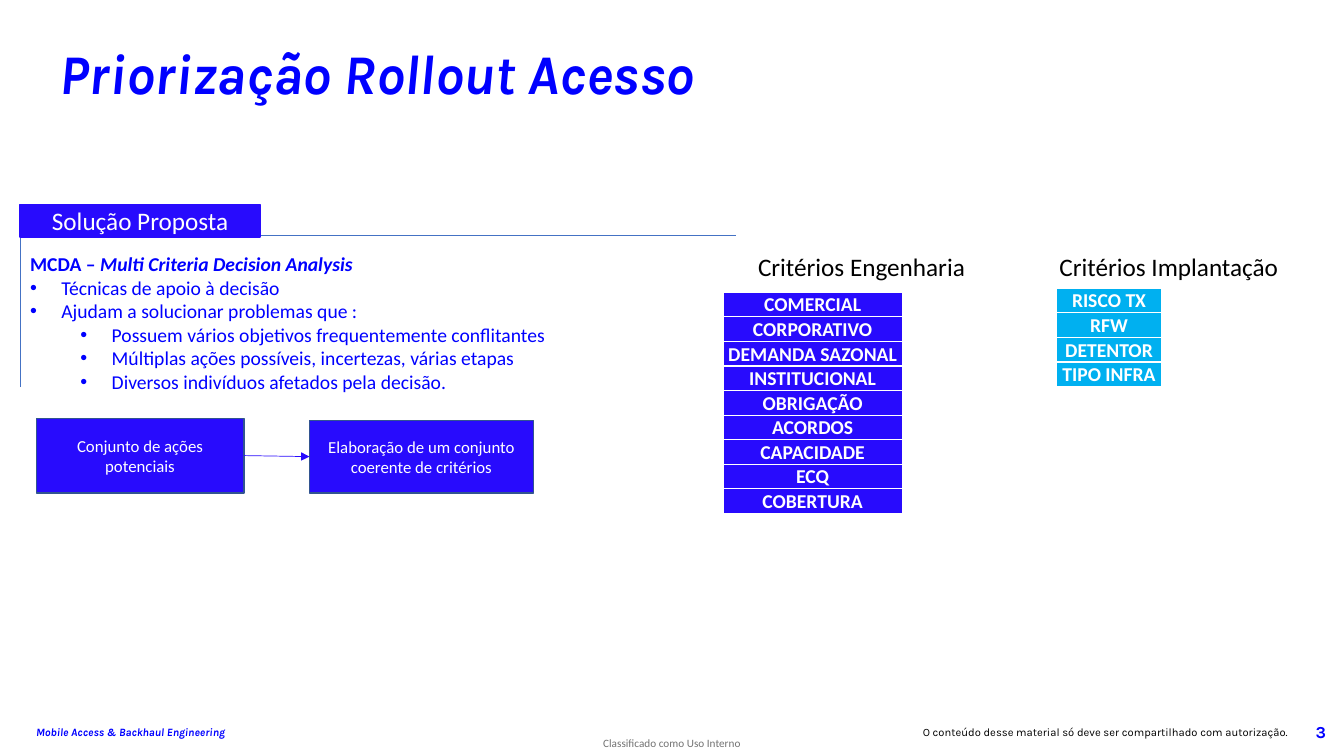
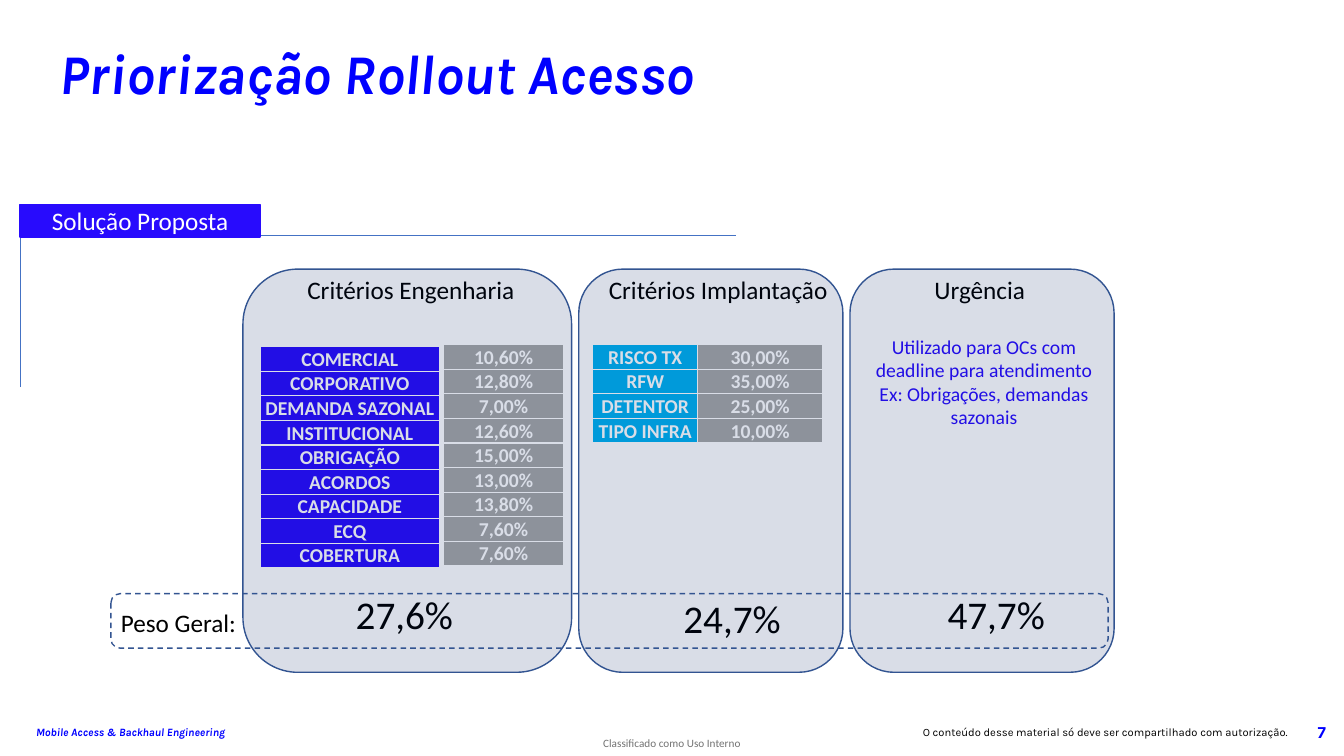
"""Build two slides on rollout prioritisation criteria."""
import dataclasses
import typing

import lxml.etree
import pptx
import pptx.dml.color
import pptx.enum.dml
import pptx.enum.shapes
import pptx.enum.text
import pptx.oxml.ns
import pptx.util

Inches = pptx.util.Inches
Pt = pptx.util.Pt
qn = pptx.oxml.ns.qn
SHAPE = pptx.enum.shapes.MSO_SHAPE
ALIGN = pptx.enum.text.PP_ALIGN
ANCHOR = pptx.enum.text.MSO_ANCHOR

COLORS = {
    "blue": "0000FF",
    "indigo": "280BFD",
    "cyan": "00B0F0",
    "gray": "A6A6A6",
    "note": "737373",
    "rule": "4472C4",
    "outline": "325491",
    "card": "002060",
    "white": "FFFFFF",
    "black": "000000",
}
ROW_HEIGHT = 0.24
BULLET_HANG = 0.31
ENGINEERING = ["COMERCIAL", "CORPORATIVO", "DEMANDA SAZONAL", "INSTITUCIONAL", "OBRIGAÇÃO",
               "ACORDOS", "CAPACIDADE", "ECQ", "COBERTURA"]
ENGINEERING_WEIGHTS = ["10,60%", "12,80%", "7,00%", "12,60%", "15,00%",
                       "13,00%", "13,80%", "7,60%", "7,60%"]
ROLLOUT = ["RISCO TX", "RFW", "DETENTOR", "TIPO INFRA"]
ROLLOUT_WEIGHTS = ["30,00%", "35,00%", "25,00%", "10,00%"]


@dataclasses.dataclass(frozen=True)
class Box:
    left: float
    top: float
    width: float
    height: float

    def lengths(self) -> list:
        return [Inches(v) for v in dataclasses.astuple(self)]


@dataclasses.dataclass(frozen=True)
class Label:
    text: str
    box: Box
    size: float = 18


@dataclasses.dataclass(frozen=True)
class Column:
    values: list
    left: float
    top: float
    width: float
    fill: str


@dataclasses.dataclass(frozen=True)
class Bullet:
    text: str
    level: int


def rgb(name: str) -> pptx.dml.color.RGBColor:
    return pptx.dml.color.RGBColor.from_string(COLORS[name])


def write(p, text: str, *, size: float = 14, color: str = "black", font: str = "Calibri",
          bold: bool = False, italic: bool = False, align=ALIGN.LEFT) -> None:
    p.alignment = align
    r = p.add_run()
    r.text = text
    r.font.name = font
    r.font.size = Pt(size)
    r.font.bold = bold
    r.font.italic = italic
    r.font.color.rgb = rgb(color)


def add_text(s, box: Box, *lines: str, anchor=ANCHOR.TOP, wrap: bool = True,
             inset: typing.Optional[float] = None, **fmt):
    tf = s.shapes.add_textbox(*box.lengths()).text_frame
    tf.word_wrap = wrap
    tf.vertical_anchor = anchor
    if inset is not None:
        tf.margin_left = tf.margin_right = tf.margin_top = tf.margin_bottom = Inches(inset)
    for i, line in enumerate(lines):
        write(tf.add_paragraph() if i else tf.paragraphs[0], line, **fmt)
    return tf


def add_label(s, label: Label) -> None:
    add_text(s, label.box, label.text, size=label.size)


def add_box(s, box: Box, *, kind=SHAPE.RECTANGLE, fill: typing.Optional[str] = "indigo",
            alpha: int = 100, line: str = "outline", dashed: bool = False,
            text: str = "", size: float = 12):
    sp = s.shapes.add_shape(kind, *box.lengths())
    sp.shadow.inherit = False
    if fill:
        sp.fill.solid()
        sp.fill.fore_color.rgb = rgb(fill)
        if alpha < 100:
            clr = sp.fill._xPr.find(qn("a:solidFill"))[0]
            lxml.etree.SubElement(clr, qn("a:alpha"), val=str(alpha * 1000))
    else:
        sp.fill.background()
    sp.line.color.rgb = rgb(line)
    sp.line.width = Pt(1)
    if dashed:
        sp.line.dash_style = pptx.enum.dml.MSO_LINE.DASH
    if text:
        tf = sp.text_frame
        tf.word_wrap = True
        tf.vertical_anchor = ANCHOR.MIDDLE
        write(tf.paragraphs[0], text, size=size, color="white", align=ALIGN.CENTER)
    return sp


def add_line(s, x1: float, y1: float, x2: float, y2: float, color: str = "rule"):
    ends = [Inches(v) for v in (x1, y1, x2, y2)]
    cxn = s.shapes.add_connector(pptx.enum.shapes.MSO_CONNECTOR.STRAIGHT, *ends)
    cxn.line.color.rgb = rgb(color)
    cxn.line.width = Pt(0.5)
    lxml.etree.SubElement(cxn._element.spPr, qn("a:effectLst"))
    return cxn


def add_arrow(s, source, target) -> None:
    cxn = add_line(s, 2.42, 4.52, 3.07, 4.53, "indigo")
    cxn.begin_connect(source, 3)
    cxn.end_connect(target, 1)
    lxml.etree.SubElement(cxn.line._get_or_add_ln(), qn("a:tailEnd"), type="triangle")


def add_borders(cell) -> None:
    tcPr = cell._tc.get_or_add_tcPr()
    for i, side in enumerate(("lnL", "lnR", "lnT", "lnB")):
        ln = lxml.etree.Element(qn(f"a:{side}"), w=str(Pt(1)))
        fill = lxml.etree.SubElement(ln, qn("a:solidFill"))
        lxml.etree.SubElement(fill, qn("a:srgbClr"), val=COLORS["white"])
        tcPr.insert(i, ln)


def add_column(s, col: Column) -> None:
    n = len(col.values)
    box = Box(col.left, col.top, col.width, n * ROW_HEIGHT)
    table = s.shapes.add_table(n, 1, *box.lengths()).table
    table.first_row = table.horz_banding = False
    for row, value in enumerate(col.values):
        table.rows[row].height = Inches(ROW_HEIGHT)
        cell = table.cell(row, 0)
        cell.fill.solid()
        cell.fill.fore_color.rgb = rgb(col.fill)
        cell.margin_left = cell.margin_right = cell.margin_top = Inches(0.01)
        cell.margin_bottom = Inches(0)
        cell.vertical_anchor = ANCHOR.MIDDLE
        write(cell.text_frame.paragraphs[0], value, color="white", bold=True,
              align=ALIGN.CENTER)
        add_borders(cell)


def add_bullet(tf, bullet: Bullet) -> None:
    p = tf.add_paragraph()
    p.level = bullet.level
    write(p, bullet.text, color="blue")
    pPr = p._p.get_or_add_pPr()
    pPr.set("marL", str(Inches(BULLET_HANG + 0.5 * bullet.level)))
    pPr.set("indent", str(Inches(-BULLET_HANG)))
    lxml.etree.SubElement(pPr, qn("a:buFont"), typeface="Arial")
    lxml.etree.SubElement(pPr, qn("a:buChar"), char="•")


def add_title(s, text: str) -> None:
    sp = s.shapes.title
    sp.left, sp.top, sp.width, sp.height = Box(0.49, 0.41, 10.56, 0.72).lengths()
    tf = sp.text_frame
    tf.word_wrap = True
    tf.auto_size = pptx.enum.text.MSO_AUTO_SIZE.NONE
    tf.vertical_anchor = ANCHOR.TOP
    p = tf.paragraphs[0]
    p.line_spacing = 0.9
    p.space_before = Pt(10)
    write(p, text, size=40, color="blue", font="Karla", bold=True, italic=True)


def new_slide(prs, number: int):
    s = prs.slides.add_slide(prs.slide_layouts[5])
    add_text(s, Box(5.84, 7.25, 1.65, 0.25), "Classificado como Uso Interno", size=8,
             color="note", align=ALIGN.CENTER, anchor=ANCHOR.MIDDLE, inset=0)
    add_text(s, Box(0.26, 7.15, 6.3, 0.24), "Mobile Access & Backhaul Engineering", size=8,
             color="blue", font="Karla", bold=True, italic=True)
    add_text(s, Box(5.84, 7.15, 7.04, 0.24),
             "O conteúdo desse material só deve ser compartilhado com autorização.",
             size=8, font="Karla", align=ALIGN.RIGHT)
    add_text(s, Box(12.67, 7.11, 0.58, 0.29), str(number), size=12, color="blue",
             font="Karla", bold=True, align=ALIGN.RIGHT, anchor=ANCHOR.MIDDLE)
    add_title(s, "Priorização Rollout Acesso")
    add_line(s, 0.2, 3.84, 0.2, 2.35)
    add_line(s, 0.2, 2.34, 7.3, 2.34)
    add_box(s, Box(0.2, 2.03, 2.38, 0.32), line="indigo", text="Solução Proposta", size=18)
    return s


def build_method(prs) -> None:
    s = new_slide(prs, 3)
    actions = add_box(s, Box(0.36, 4.15, 2.06, 0.74), text="Conjunto de ações potenciais")
    criteria = add_box(s, Box(3.07, 4.17, 2.22, 0.72),
                       text="Elaboração de um conjunto coerente de critérios")
    add_arrow(s, actions, criteria)
    tf = add_text(s, Box(0.2, 2.45, 7.44, 1.51), "MCDA – ", color="blue", bold=True)
    write(tf.paragraphs[0], "Multi Criteria Decision Analysis", color="blue", bold=True,
          italic=True)
    for bullet in (
        Bullet("Técnicas de apoio à decisão", 0),
        Bullet("Ajudam a solucionar problemas que :", 0),
        Bullet("Possuem vários objetivos frequentemente conflitantes", 1),
        Bullet("Múltiplas ações possíveis, incertezas, várias etapas", 1),
        Bullet("Diversos indivíduos afetados pela decisão.", 1),
    ):
        add_bullet(tf, bullet)
    add_column(s, Column(ENGINEERING, 7.17, 2.9, 1.78, "indigo"))
    add_column(s, Column(ROLLOUT, 10.48, 2.86, 1.04, "cyan"))
    add_label(s, Label("Critérios Engenharia", Box(7.42, 2.44, 2.46, 0.4)))
    add_label(s, Label("Critérios Implantação", Box(10.41, 2.44, 2.46, 0.4)))


def build_weights(prs) -> None:
    s = new_slide(prs, 7)
    for col in (
        Column(ENGINEERING, 2.58, 3.44, 1.78, "indigo"),
        Column(ROLLOUT, 5.88, 3.42, 1.04, "cyan"),
        Column(ENGINEERING_WEIGHTS, 4.4, 3.42, 1.19, "gray"),
        Column(ROLLOUT_WEIGHTS, 6.92, 3.42, 1.24, "gray"),
    ):
        add_column(s, col)
    for label in (
        Label("Critérios Engenharia", Box(2.95, 2.67, 2.46, 0.4)),
        Label("Critérios Implantação", Box(5.94, 2.67, 2.46, 0.4)),
        Label("Urgência", Box(9.17, 2.67, 1.26, 0.4)),
        Label("27,6%", Box(3.43, 5.81, 1.36, 0.57), 28),
        Label("24,7%", Box(6.68, 5.85, 1.18, 0.57), 28),
        Label("47,7%", Box(9.3, 5.81, 1.23, 0.57), 28),
    ):
        add_label(s, label)
    add_text(s, Box(8.53, 3.27, 2.46, 1.04),
             "Utilizado para OCs com deadline para atendimento",
             "Ex: Obrigações, demandas sazonais", color="indigo", align=ALIGN.CENTER)
    left = 2.41
    for width in (3.26, 2.62, 2.62):
        add_box(s, Box(left, 2.67, width, 4), kind=SHAPE.ROUNDED_RECTANGLE, fill="card",
                alpha=15)
        left += width + 0.07
    add_text(s, Box(1.1, 5.98, 1.42, 0.4), "Peso Geral:", size=18, wrap=False)
    add_box(s, Box(1.1, 5.89, 9.89, 0.54), kind=SHAPE.ROUNDED_RECTANGLE, fill=None,
            dashed=True)


def main() -> None:
    prs = pptx.Presentation()
    prs.slide_width, prs.slide_height = Inches(13.33), Inches(7.5)
    build_method(prs)
    build_weights(prs)
    prs.save("out.pptx")


if __name__ == "__main__":
    main()
